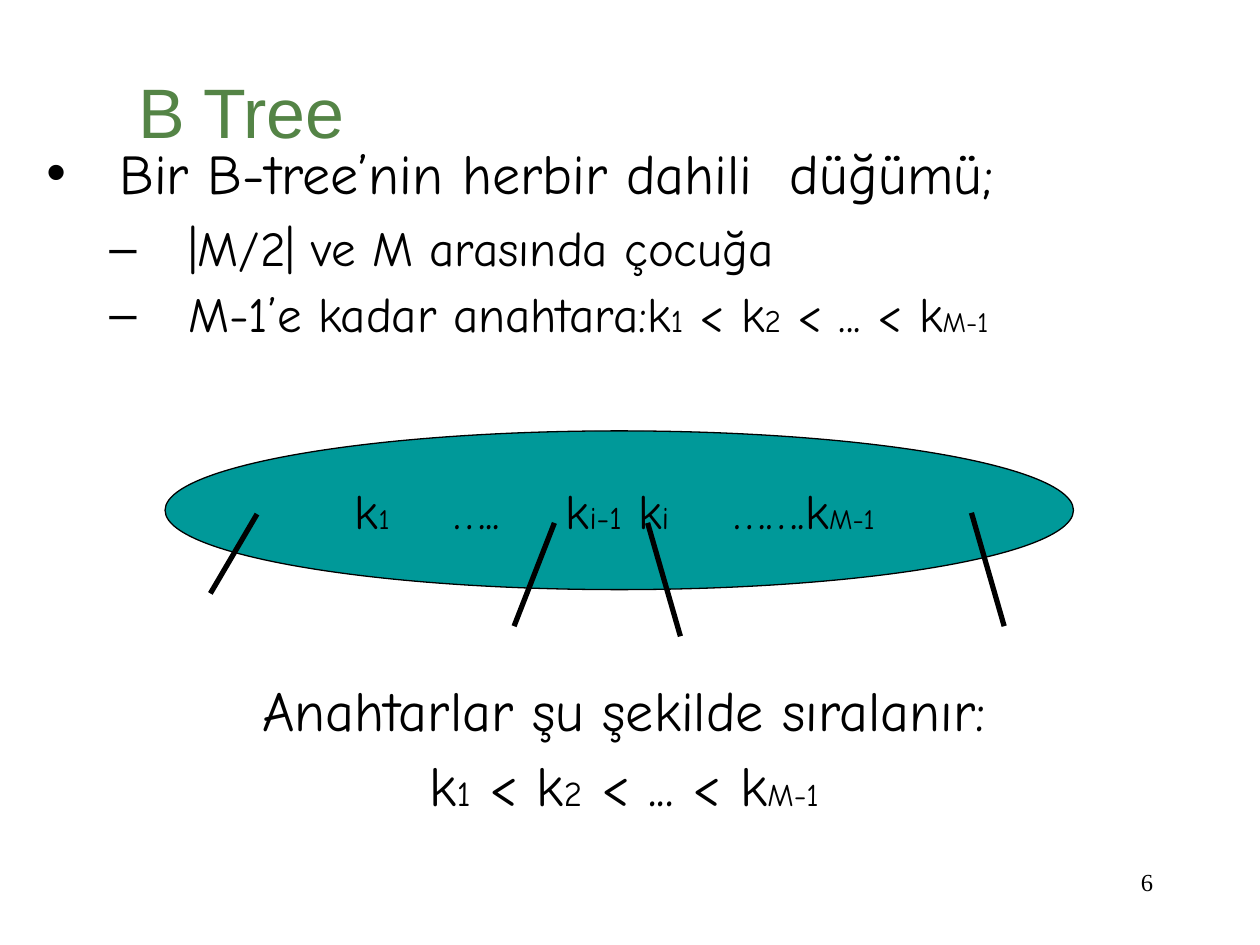
import pptx
import pptx.util
import pptx.dml.color
import pptx.enum.shapes
import pptx.enum.text
import pptx.oxml
import pptx.oxml.ns
from dataclasses import dataclass
from typing import Any, NamedTuple

Pt = pptx.util.Pt
ALIGN = pptx.enum.text.PP_ALIGN
ANCHOR = pptx.enum.text.MSO_ANCHOR
NS = pptx.oxml.ns.nsdecls("a")

COLORS = {"ink": "000000", "title": "548446", "node": "009999"}
BODY, HEAD, NUM = "Comic Neue", "Arial", "Times New Roman"
INSET = 7.2


class Run(NamedTuple):
    text: str
    size: float
    font: str = BODY
    color: str = "ink"


class Edge(NamedTuple):
    x1: float
    y1: float
    x2: float
    y2: float


class Area(NamedTuple):
    left: float
    top: float
    width: float
    height: float


class Key(NamedTuple):
    left: float
    width: float
    runs: list[Run]


@dataclass
class Para:
    runs: list[Run]
    align: Any = ALIGN.LEFT
    space: float = 0
    level: int = 0
    left: float = 0
    hang: float = 0
    mark: str = ""


@dataclass
class Box:
    area: Area
    paras: list[Para]
    anchor: Any = ANCHOR.TOP


def rgb(name: str) -> pptx.dml.color.RGBColor:
    return pptx.dml.color.RGBColor.from_string(COLORS[name])


def apply(obj: Any, values: dict[str, Any]) -> None:
    for name, value in values.items():
        setattr(obj, name, value)


def add_mark(par: Any, spec: Para) -> None:
    props = par._p.get_or_add_pPr()
    props.set("marL", str(Pt(spec.left)))
    props.set("indent", str(Pt(-spec.hang)))
    for xml in (
        f'<a:buClr {NS}><a:srgbClr val="{COLORS["ink"]}"/></a:buClr>',
        f'<a:buFont {NS} typeface="{HEAD}"/>',
        f'<a:buChar {NS} char="{spec.mark}"/>',
    ):
        props.append(pptx.oxml.parse_xml(xml))


def write(par: Any, spec: Para) -> None:
    apply(par, {"alignment": spec.align, "level": spec.level,
                "space_before": Pt(spec.space)})
    if spec.mark:
        add_mark(par, spec)
    for item in spec.runs:
        run = par.add_run()
        run.text = item.text
        apply(run.font, {"name": item.font, "size": Pt(item.size)})
        run.font.color.rgb = rgb(item.color)


def draw_text(slide: Any, box: Box) -> None:
    frame = slide.shapes.add_textbox(*map(Pt, box.area)).text_frame
    apply(frame, {"word_wrap": True, "vertical_anchor": box.anchor,
                  "margin_left": Pt(INSET), "margin_right": Pt(INSET),
                  "margin_top": Pt(3.6), "margin_bottom": Pt(3.6)})
    for i, spec in enumerate(box.paras):
        write(frame.add_paragraph() if i else frame.paragraphs[0], spec)


def draw_node(slide: Any, area: Area) -> None:
    kind = pptx.enum.shapes.MSO_SHAPE.OVAL
    node = slide.shapes.add_shape(kind, *map(Pt, area))
    node.shadow.inherit = False
    node.fill.solid()
    node.fill.fore_color.rgb = rgb("node")
    node.line.color.rgb = rgb("ink")
    node.line.width = Pt(0.75)


def draw_key(slide: Any, key: Key) -> None:
    area = Area(key.left - INSET, NODE.top, key.width + 2 * INSET, NODE.height)
    draw_text(slide, Box(area, [Para(key.runs)], ANCHOR.MIDDLE))


def draw_edge(slide: Any, edge: Edge) -> None:
    kind = pptx.enum.shapes.MSO_CONNECTOR.STRAIGHT
    line = slide.shapes.add_connector(kind, *map(Pt, edge))
    line.line.color.rgb = rgb("ink")
    line.line.width = Pt(3)
    line._element.spPr.append(pptx.oxml.parse_xml(f"<a:effectLst {NS}/>"))


def order(lead: str, size: float, mid: float, last: float) -> list[Run]:
    """Runs for k1 < k2 < ... < kM-1 with small indices."""
    return [Run(lead + "k", size), Run("1", mid), Run(" < k", size),
            Run("2", mid), Run(" < ... < k", size), Run("M-1", last)]


SUB = {"level": 1, "left": 81, "hang": 45, "mark": "–"}

TEXTS = [
    # Page number
    Box(Area(516.24, 491.76, 149.76, 36),
        [Para([Run("6", 14, NUM)], ALIGN.RIGHT)]),
    # Title
    Box(Area(72, 18, 612, 90),
        [Para([Run("B Tree", 40, HEAD, "title")])], ANCHOR.MIDDLE),
    # Rules for each inner node
    Box(Area(19.44, 75.6, 677.52, 131.76), [
        Para([Run("Bir B-tree’nin herbir dahili  düğümü;", 32)],
             left=41.76, hang=41.76, mark="•"),
        Para([Run("|M/2| ve M arasında çocuğa", 28)], space=7, **SUB),
        Para(order("M-1’e kadar anahtara:", 28, 18, 16), space=4, **SUB),
    ]),
    # Key order
    Box(Area(18, 382.32, 677.52, 131.76), [
        Para([Run("Anahtarlar şu şekilde sıralanır:", 32)], ALIGN.CENTER),
        Para(order("", 32, 20, 18), ALIGN.CENTER, space=4.5),
    ]),
]

# Node and the keys inside it
NODE = Area(94.32, 246.24, 519.12, 90.72)
KEYS = [
    Key(203, 30, [Run("k", 28), Run("1", 16)]),
    Key(259, 45, [Run("…..", 28)]),
    Key(323.5, 80, [Run("k", 28), Run("i-1", 18), Run(" k", 28), Run("i", 18)]),
    Key(419, 110, [Run("…….k", 28), Run("M-1", 16)]),
]

# Links to the children
EDGES = [
    Edge(146.88, 293.76, 120.24, 339.12),
    Edge(316.8, 298.8, 293.76, 357.84),
    Edge(370.08, 298.8, 388.8, 363.6),
    Edge(555.12, 293.04, 573.84, 357.84),
]


def main() -> None:
    deck = pptx.Presentation()
    apply(deck, {"slide_width": Pt(720), "slide_height": Pt(540)})
    slide = deck.slides.add_slide(deck.slide_layouts[6])
    for box in TEXTS:
        draw_text(slide, box)
    draw_node(slide, NODE)
    for key in KEYS:
        draw_key(slide, key)
    for edge in EDGES:
        draw_edge(slide, edge)
    deck.save("out.pptx")


if __name__ == "__main__":
    main()
